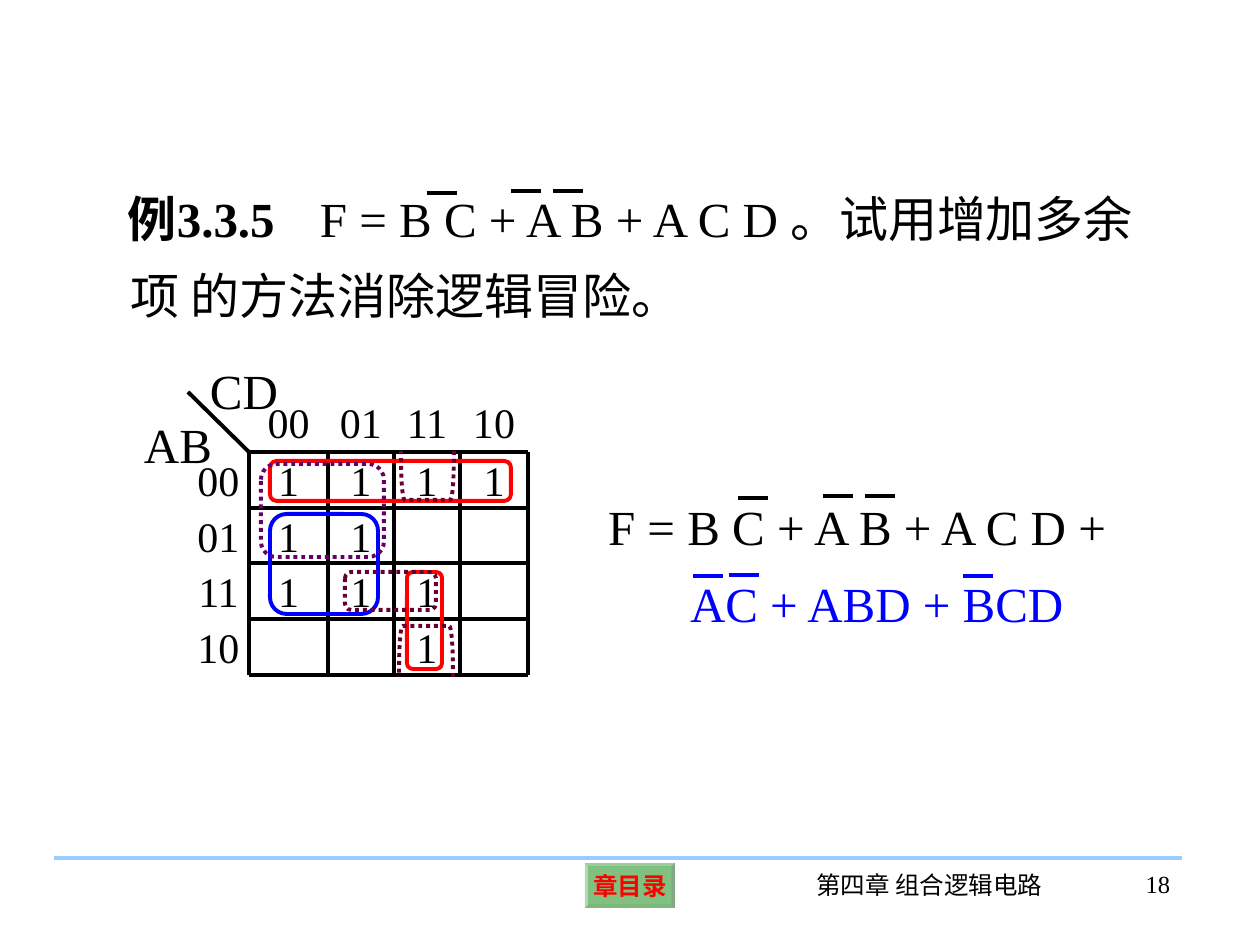
from lxml import etree
from pptx import Presentation
from pptx.dml.color import RGBColor
from pptx.enum.dml import MSO_LINE
from pptx.enum.shapes import MSO_CONNECTOR, MSO_SHAPE
from pptx.enum.text import MSO_ANCHOR, PP_ALIGN
from pptx.oxml.ns import qn
from pptx.util import Emu, Pt

PX = 914400 / 126
STRAIGHT = MSO_CONNECTOR.STRAIGHT
ROUNDED, BEVEL = MSO_SHAPE.ROUNDED_RECTANGLE, MSO_SHAPE.BEVEL
DOTTED = MSO_LINE.ROUND_DOT
LEFT, CENTER, RIGHT = PP_ALIGN.LEFT, PP_ALIGN.CENTER, PP_ALIGN.RIGHT
TOP, MIDDLE = MSO_ANCHOR.TOP, MSO_ANCHOR.MIDDLE

BLACK, RED, BLUE, GREEN = "000000", "FF0000", "0000FF", "008000"
PURPLE, PLUM, SKY = "660066", "660033", "99CCFF"

COLUMN_EDGES = [188, 249, 328, 394, 460, 528]
ROW_EDGES = [392, 452, 508, 563, 619, 675]
KARNAUGH_MAP = [
    ["", "00", "01", "11", "10"],
    ["00", "1", "1", "1", "1"],
    ["01", "1", "1", "", ""],
    ["11", "1", "1", "1", ""],
    ["10", "", "", "1", ""],
]


def px(length):
    return Emu(round(length * PX))


def color(hex_string):
    return RGBColor.from_string(hex_string)


def set_values(target, values):
    for name, value in values.items():
        setattr(target, name, value)


class SlideBuilder:
    font_name = "Times New Roman"
    line_width = Pt(2.25)

    def __init__(self, page):
        self.page = page

    def fill_text(self, frame, spans, align=LEFT, anchor=TOP, margins=(13, 6), wrap=True,
                  hanging=None, tab=None, spacing=None):
        """Fill one paragraph; spans are (text, format) pairs, hanging is (margin, indent)."""
        side, edge = map(px, margins)
        set_values(frame, {"word_wrap": wrap, "vertical_anchor": anchor,
                           "margin_left": side, "margin_right": side,
                           "margin_top": edge, "margin_bottom": edge})
        para = frame.paragraphs[0]
        properties = para._p.get_or_add_pPr()
        if hanging:
            for name, length in zip(("marL", "indent"), hanging):
                properties.set(name, str(px(length)))
        if tab:
            tabs = etree.SubElement(properties, qn("a:tabLst"))
            etree.SubElement(tabs, qn("a:tab"), pos=str(px(tab)), algn="l")
        para.alignment = align
        if spacing:
            para.line_spacing = spacing
        for text, style in spans:
            span = para.add_run()
            span.text = text
            style = {"color": BLACK, "size": 28, "bold": False, **style}
            set_values(span.font, {"name": self.font_name, "size": Pt(style["size"]),
                                   "bold": style["bold"]})
            span.font.color.rgb = color(style["color"])

    def text(self, bounds, spans, **layout):
        box = self.page.shapes.add_textbox(*map(px, bounds))
        self.fill_text(box.text_frame, spans, **layout)

    def line(self, x1, y1, x2, y2, line_color=BLACK):
        connector = self.page.shapes.add_connector(STRAIGHT, *map(px, (x1, y1, x2, y2)))
        self.outline(connector, line_color)
        etree.SubElement(connector._element.spPr, qn("a:effectLst"))

    def overlines(self, starts, line_color=BLACK):
        """Draw the negation bars of a formula."""
        for x, y in starts:
            self.line(x, y, x + 30, y, line_color)

    def outline(self, shape, line_color, dash=None):
        shape.line.color.rgb = color(line_color)
        set_values(shape.line, {"width": self.line_width, "dash_style": dash})

    def loop(self, bounds, line_color, dash=None):
        shape = self.page.shapes.add_shape(ROUNDED, *map(px, bounds))
        shape.shadow.inherit = False
        shape.adjustments[0] = 0.167
        shape.fill.background()
        self.outline(shape, line_color, dash)

    def open_loop(self, left, right, open_y, closed_y):
        """Draw a dotted loop that is open at the edge of the map."""
        bend, steps = 4, 10
        curve = []
        for step in range(steps + 1):
            t = step / steps
            inset = bend * t ** 3 + 3 * t * t * (1 - t)
            rise = 1.5 * t * (1 - t) ** 2 + 3 * t * t * (1 - t) + t ** 3
            curve.append((inset, open_y + (closed_y - open_y) * rise))
        points = [(right - inset, y) for inset, y in curve]
        points += [(left + inset, y) for inset, y in reversed(curve)]
        points = [(px(x), px(y)) for x, y in points]
        builder = self.page.shapes.build_freeform(*points[0])
        builder.add_line_segments(points[1:], close=False)
        shape = builder.convert_to_shape()
        shape.shadow.inherit = False
        shape.fill.background()
        self.outline(shape, PLUM, DOTTED)

    def button(self, bounds, label):
        shape = self.page.shapes.add_shape(BEVEL, *map(px, bounds))
        shape.shadow.inherit = False
        shape.adjustments[0] = 0.07
        shape.fill.solid()
        shape.fill.fore_color.rgb = color(GREEN)
        fill_color = shape._element.spPr.find(qn("a:solidFill"))[0]
        etree.SubElement(fill_color, qn("a:alpha"), val="49000")
        shape.line.fill.background()
        self.fill_text(shape.text_frame, [(label, {"size": 14, "bold": True, "color": RED})],
                       align=CENTER, anchor=MIDDLE, margins=(5, 5), wrap=False)

    def karnaugh_map(self):
        for row, labels in enumerate(KARNAUGH_MAP):
            top, bottom = ROW_EDGES[row:row + 2]
            for column, label in enumerate(labels):
                left, right = COLUMN_EDGES[column:column + 2]
                if label:
                    self.text((left, top, right - left, bottom - top),
                              [(label, {"size": 24})],
                              align=CENTER, anchor=MIDDLE, margins=(3, 3))
        corner_x, *xs = COLUMN_EDGES
        corner_y, *ys = ROW_EDGES
        self.line(corner_x, corner_y, xs[0], ys[0])
        for x in xs:
            self.line(x, ys[0], x, ys[-1])
        for y in ys:
            self.line(xs[0], y, xs[-1], y)


def main():
    deck = Presentation()
    set_values(deck, {"slide_width": px(1260), "slide_height": px(945)})
    slide = SlideBuilder(deck.slides.add_slide(deck.slide_layouts[6]))

    slide.button((585, 863, 90, 45), "章目录")
    slide.line(54, 858, 1182, 858, SKY)
    slide.text((786, 864, 287, 63), [("第四章 组合逻辑电路", {"size": 14})], align=CENTER)
    slide.text((1075, 863, 108, 63), [("18", {"size": 14})], align=RIGHT)

    slide.text((115, 165, 1043, 166),
               [("例3.3.5", {"bold": True}),
                ("\tF = B C + A B + A C D 。试用增加多余项 的方法消除逻辑冒险。", {})],
               hanging=(3, -3), tab=182, spacing=1.3)
    slide.overlines([(427, 193), (511, 191), (553, 191)])

    slide.text((131, 408, 115, 72), [("AB", {})])
    slide.text((197, 355, 115, 72), [("CD", {})])
    slide.karnaugh_map()
    slide.loop((270, 461, 241, 40), RED)
    slide.loop((270, 514, 108, 100), BLUE)
    slide.loop((407, 572, 35, 97), RED)
    slide.loop((261, 464, 123, 93), PURPLE, DOTTED)
    slide.loop((345, 572, 91, 38), PLUM, DOTTED)
    slide.open_loop(399, 453, 677, 626)
    slide.open_loop(401, 454, 451, 500)

    slide.text((571, 473, 587, 166),
               [("F = B C + A B + A C D + ", {}), ("AC + ABD + BCD", {"color": BLUE})],
               hanging=(106, -82), spacing=1.3)
    slide.overlines([(738, 498), (823, 496), (865, 496)])
    slide.overlines([(693, 576), (729, 575), (963, 576)], BLUE)

    deck.save("out.pptx")


if __name__ == "__main__":
    main()
